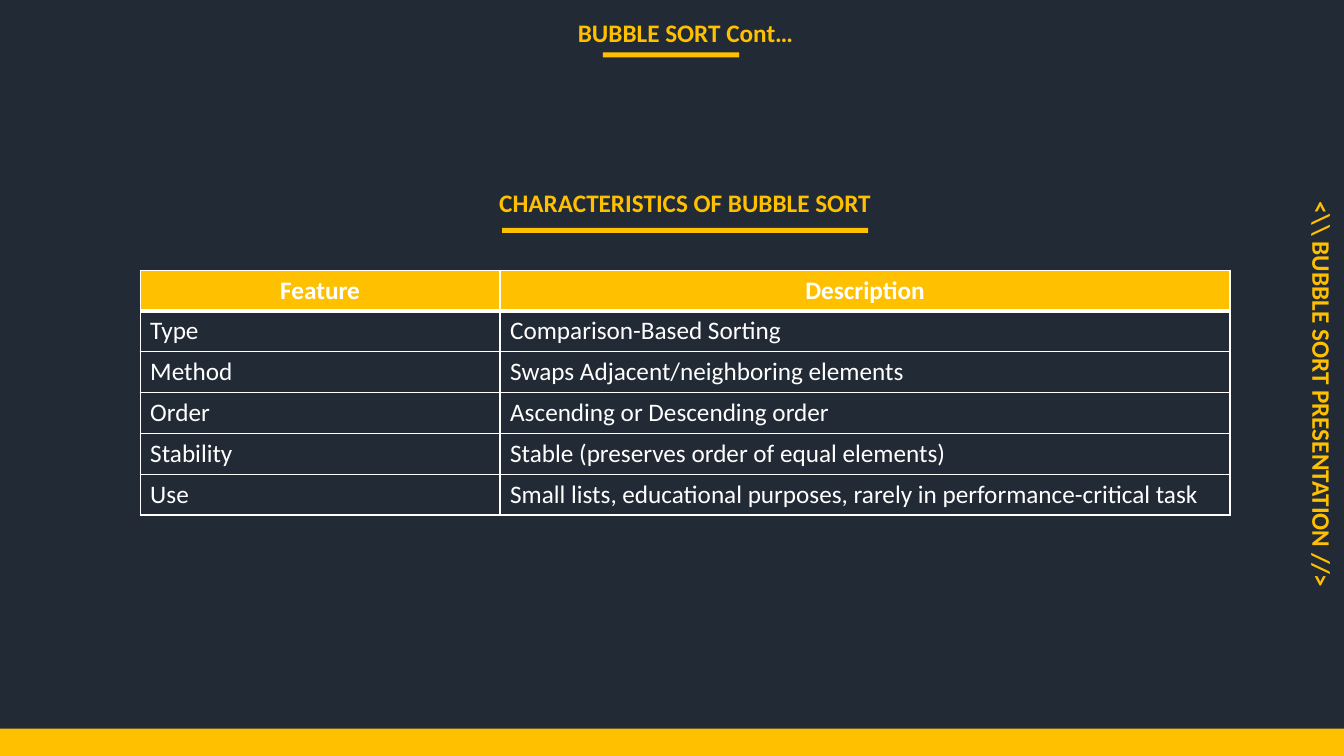
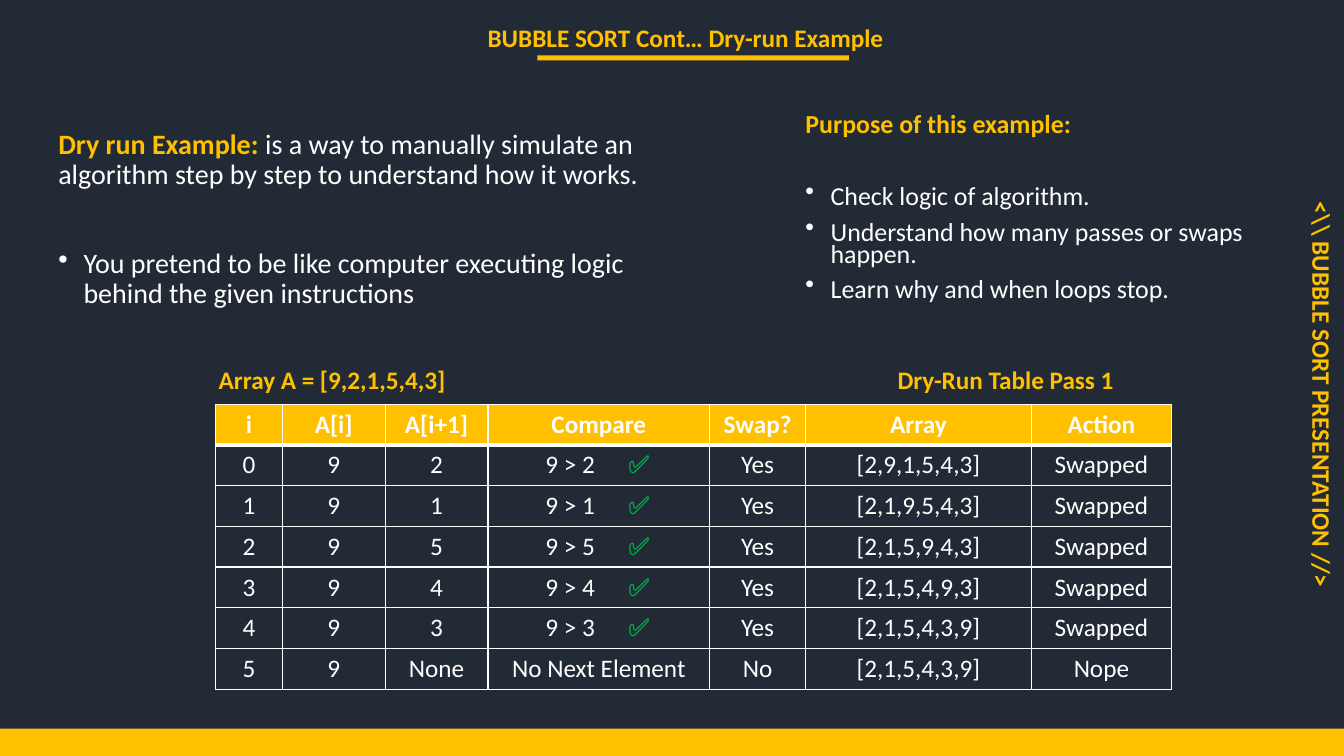
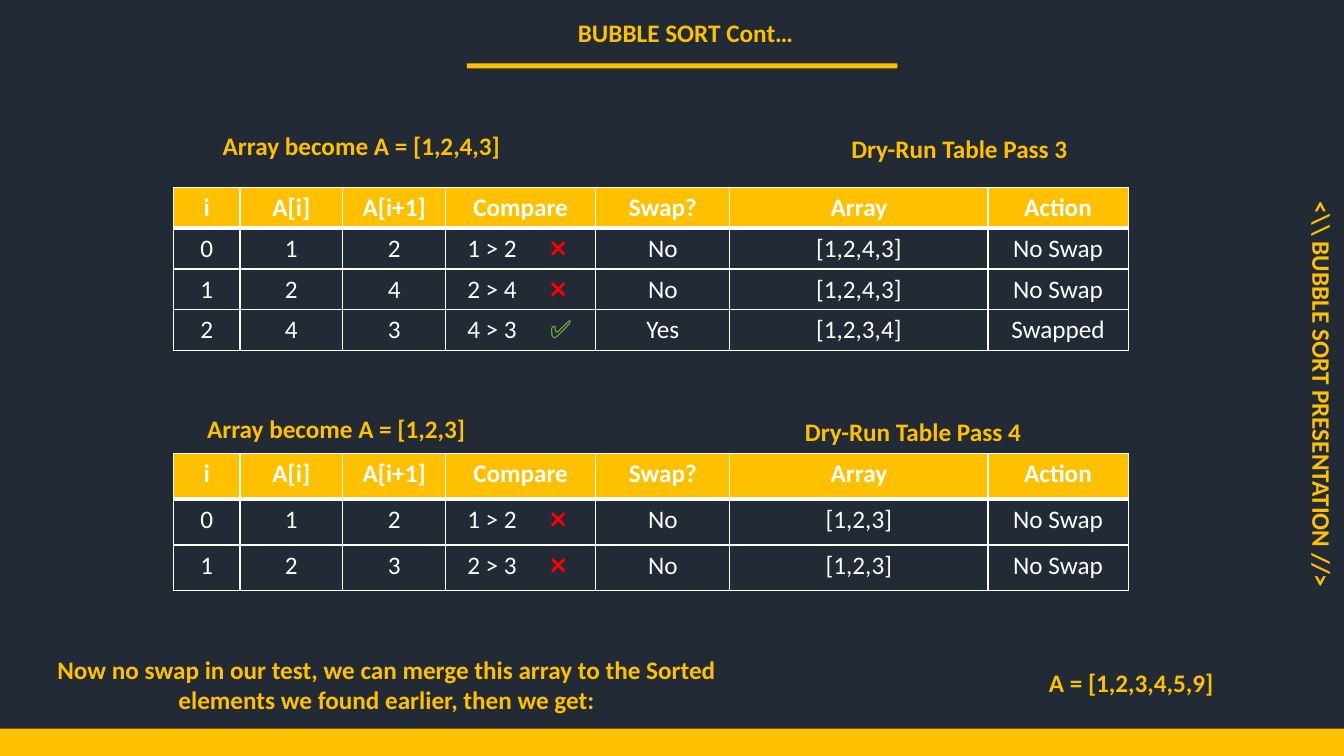
"""Build three bubble sort slides with dry-run tables."""
from lxml import etree
from pptx import Presentation
from pptx.dml.color import RGBColor
from pptx.enum.shapes import MSO_SHAPE
from pptx.enum.text import MSO_ANCHOR, PP_ALIGN
from pptx.oxml.ns import qn
from pptx.util import Inches, Pt

NAVY = RGBColor(0x22, 0x2A, 0x35)
GOLD = RGBColor(0xFF, 0xC0, 0x00)
WHITE = RGBColor(0xFF, 0xFF, 0xFF)
RED = RGBColor(0xFF, 0x00, 0x00)
GREEN = RGBColor(0x00, 0xB0, 0x50)
LEAF = RGBColor(0x70, 0xAD, 0x47)
LEFT, CENTER = PP_ALIGN.LEFT, PP_ALIGN.CENTER
TOP, MIDDLE = MSO_ANCHOR.TOP, MSO_ANCHOR.MIDDLE
RECTANGLE = MSO_SHAPE.RECTANGLE

FONT = "Calibri"
HEADING = {"size": Pt(18), "bold": True, "color": GOLD}
HEADER = {**HEADING, "color": WHITE}
BODY = {"size": Pt(18), "bold": False, "color": WHITE}
PASS_HEADER = ["i", "A[i]", "A[i+1]", "Compare", "Swap?", "Array", "Action"]
PASS_COLUMNS = [0.66, 1.02, 1.02, 1.49, 1.33, 2.56, 1.39]
MARK_TAB = 0.82
MARK_WIDTH = 0.24


def set_all(target, values):
    """Set each named attribute of the target."""
    for name, value in values.items():
        setattr(target, name, value)


def add_span(para, text, style):
    """Add one styled run to a paragraph."""
    span = para.add_run()
    span.text = text
    set_all(span.font, {"name": FONT, "size": style["size"], "bold": style["bold"]})
    span.font.color.rgb = style["color"]


def add_bullet(para):
    """Give a paragraph a hanging bullet."""
    properties = para._p.get_or_add_pPr()
    properties.set("marL", str(Inches(0.25)))
    properties.set("indent", str(-Inches(0.25)))
    etree.SubElement(properties, qn("a:buChar"), char="•")


def add_box(page, place, anchor=MIDDLE):
    """Add an empty wrapping text box."""
    box = page.shapes.add_textbox(*map(Inches, place))
    set_all(box.text_frame, {"word_wrap": True, "vertical_anchor": anchor})
    return box


def add_heading(page, text, place, align=CENTER):
    """Add a bold gold line of text."""
    box = add_box(page, place)
    para = box.text_frame.paragraphs[0]
    para.alignment = align
    add_span(para, text, HEADING)
    return box


def add_body(page, place, size, spacing, lead, bullets, bullet_gap):
    """Add a lead paragraph followed by bullets."""
    frame = add_box(page, place, TOP).text_frame
    para = frame.paragraphs[0]
    para.line_spacing = spacing
    for text, style in lead:
        add_span(para, text, {**style, "size": Pt(size)})
    for index, text in enumerate(bullets):
        para = frame.add_paragraph()
        add_bullet(para)
        gap = 10 if index else bullet_gap
        set_all(para, {"line_spacing": spacing, "space_before": Pt(gap)})
        add_span(para, text, {**BODY, "size": Pt(size)})


def add_bar(page, *place):
    """Add a plain gold rectangle."""
    bar = page.shapes.add_shape(RECTANGLE, *map(Inches, place))
    bar.shadow.inherit = False
    bar.fill.solid()
    bar.fill.fore_color.rgb = GOLD
    bar.line.fill.background()


def add_borders(cell, row):
    """Draw white cell borders, thick under the header row."""
    widths = {"L": 1, "R": 1, "T": 3 if row == 1 else 1, "B": 1 if row else 3}
    properties = cell._tc.get_or_add_tcPr()
    for side, width in widths.items():
        line = etree.SubElement(properties, qn(f"a:ln{side}"), w=str(Pt(width)))
        fill = etree.SubElement(line, qn("a:solidFill"))
        etree.SubElement(fill, qn("a:srgbClr"), val=str(WHITE))


def fill_cell(cell, text, row, width, align, tick):
    """Fill one table cell, setting a mark after a tab stop."""
    add_borders(cell, row)
    if row:
        cell.fill.background()
    else:
        cell.fill.solid()
        cell.fill.fore_color.rgb = GOLD
    para = cell.text_frame.paragraphs[0]
    label, tab, mark = text.partition("\t")
    para.alignment = LEFT if tab else align if row else CENTER
    if tab:
        cell.margin_left = Inches((width - MARK_TAB - MARK_WIDTH) / 2)
        cell.margin_right = 0
        tabs = etree.SubElement(para._p.get_or_add_pPr(), qn("a:tabLst"))
        etree.SubElement(tabs, qn("a:tab"), pos=str(Inches(MARK_TAB)), algn="l")
    add_span(para, label + tab, BODY if row else HEADER)
    if mark:
        add_span(para, mark, {**BODY, "color": tick if mark == "✅" else RED})


def add_grid(page, left, top, height, columns, rows, align=CENTER, tick=GREEN):
    """Add a bordered table with a gold header row."""
    place = map(Inches, (left, top, sum(columns), height))
    table = page.shapes.add_table(len(rows), len(columns), *place).table
    table.horz_banding = False
    for column, width in zip(table.columns, columns):
        column.width = Inches(width)
    for row, texts in enumerate(rows):
        table.rows[row].height = Inches(height / len(rows))
        for column, text in enumerate(texts):
            fill_cell(table.cell(row, column), text, row, columns[column], align, tick)


def show_array(values):
    """Write a list without spaces."""
    return f"[{','.join(map(str, values))}]"


def pass_rows(values, idle="No Swap"):
    """Return the table rows of one bubble sort pass."""
    values = list(values)
    rows = [PASS_HEADER]
    for i in range(len(values) - 1):
        first, second = values[i:i + 2]
        swap = first > second
        if swap:
            values[i:i + 2] = second, first
        rows.append([str(i), str(first), str(second),
                     f"{first} > {second}\t{'✅' if swap else '❌'}",
                     "Yes" if swap else "No", show_array(values),
                     "Swapped" if swap else idle])
    return rows


def add_page(deck, title, title_top, rule):
    """Add a page with the shared background, band, side label and title."""
    page = deck.slides.add_slide(deck.slide_layouts[6])
    page.background.fill.solid()
    page.background.fill.fore_color.rgb = NAVY
    add_bar(page, 0, 7.23, 13.33, 0.27)
    side = add_heading(page, "<\\\\ BUBBLE SORT PRESENTATION //>", (9.66, 3.7, 6.91, 0.43))
    side.rotation = 90
    add_heading(page, title, (3.12, title_top, 7.36, 0.46))
    add_bar(page, *rule, 0.05)
    return page


def build_characteristics(deck):
    """Build the page of bubble sort features."""
    page = add_page(deck, "BUBBLE SORT Cont…", 0.09, (5.98, 0.52, 1.35))
    add_heading(page, "CHARACTERISTICS OF BUBBLE SORT", (4.39, 1.72, 4.81, 0.57))
    add_bar(page, 4.98, 2.26, 3.63, 0.05)
    add_grid(page, 1.39, 2.68, 2.43, [3.57, 7.24], [
        ["Feature", "Description"],
        ["Type", "Comparison-Based Sorting"],
        ["Method", "Swaps Adjacent/neighboring elements"],
        ["Order", "Ascending or Descending order"],
        ["Stability", "Stable (preserves order of equal elements)"],
        ["Use", "Small lists, educational purposes, rarely in performance-critical task"],
    ], LEFT)


def build_first_pass(deck):
    """Build the page that explains the dry run and shows pass 1."""
    page = add_page(deck, "BUBBLE SORT Cont… Dry-run Example", 0.14, (5.33, 0.55, 3.09))
    add_body(page, (7.89, 1.1, 4.65, 2.08), 18.5, 0.7,
             [("Purpose of this example:", HEADING)],
             ["Check logic of algorithm.",
              "Understand how many passes or swaps happen.",
              "Learn why and when loops stop."], 36)
    add_body(page, (0.48, 1.24, 6.32, 1.94), 20, 0.9,
             [("Dry run Example: ", HEADING),
              ("is a way to manually simulate an algorithm step by step "
               "to understand how it works.", BODY)],
             ["You pretend to be like computer executing logic "
              "behind the given instructions"], 42)
    values = [9, 2, 1, 5, 4, 3]
    add_heading(page, f"Array A = {show_array(values)}", (2.07, 3.53, 2.92, 0.46), LEFT)
    add_heading(page, "Dry-Run Table Pass 1", (8.66, 3.53, 2.63, 0.46))
    rows = pass_rows(values)
    rows.append(["5", "9", "None", "No Next Element", "No", rows[-1][5], "Nope"])
    add_grid(page, 2.14, 4.01, 2.83, [0.66, 1.02, 1.02, 2.2, 0.95, 2.24, 1.39], rows)


def build_last_passes(deck):
    """Build the page with passes 3 and 4 and the sorted result."""
    page = add_page(deck, "BUBBLE SORT Cont…", 0.09, (4.63, 0.63, 4.27))
    passes = [
        (3, [1, 2, 4, 3], (1.63, 1.17, 3.91, 0.55), (7.07, 1.2, 4.89, 0.55), 1.86, 1.62),
        (4, [1, 2, 3], (1.72, 3.95, 3.23, 0.61), (6.95, 3.97, 4.21, 0.61), 4.5, 1.36),
    ]
    for number, values, array_place, name_place, top, height in passes:
        add_heading(page, f"Array become A = {show_array(values)}", array_place)
        add_heading(page, f"Dry-Run Table Pass {number}", name_place)
        add_grid(page, 1.72, top, height, PASS_COLUMNS, pass_rows(values), tick=LEAF)
    add_heading(page, "Now no swap in our test, we can merge this array to the Sorted "
                "elements we found earlier, then we get:", (0, 6.49, 7.67, 0.6))
    add_heading(page, "A = [1,2,3,4,5,9]", (10.1, 6.54, 2.24, 0.46))


def main():
    """Build and save the deck."""
    deck = Presentation()
    set_all(deck, {"slide_width": Inches(13.33), "slide_height": Inches(7.5)})
    build_characteristics(deck)
    build_first_pass(deck)
    build_last_passes(deck)
    deck.save("out.pptx")


if __name__ == "__main__":
    main()
